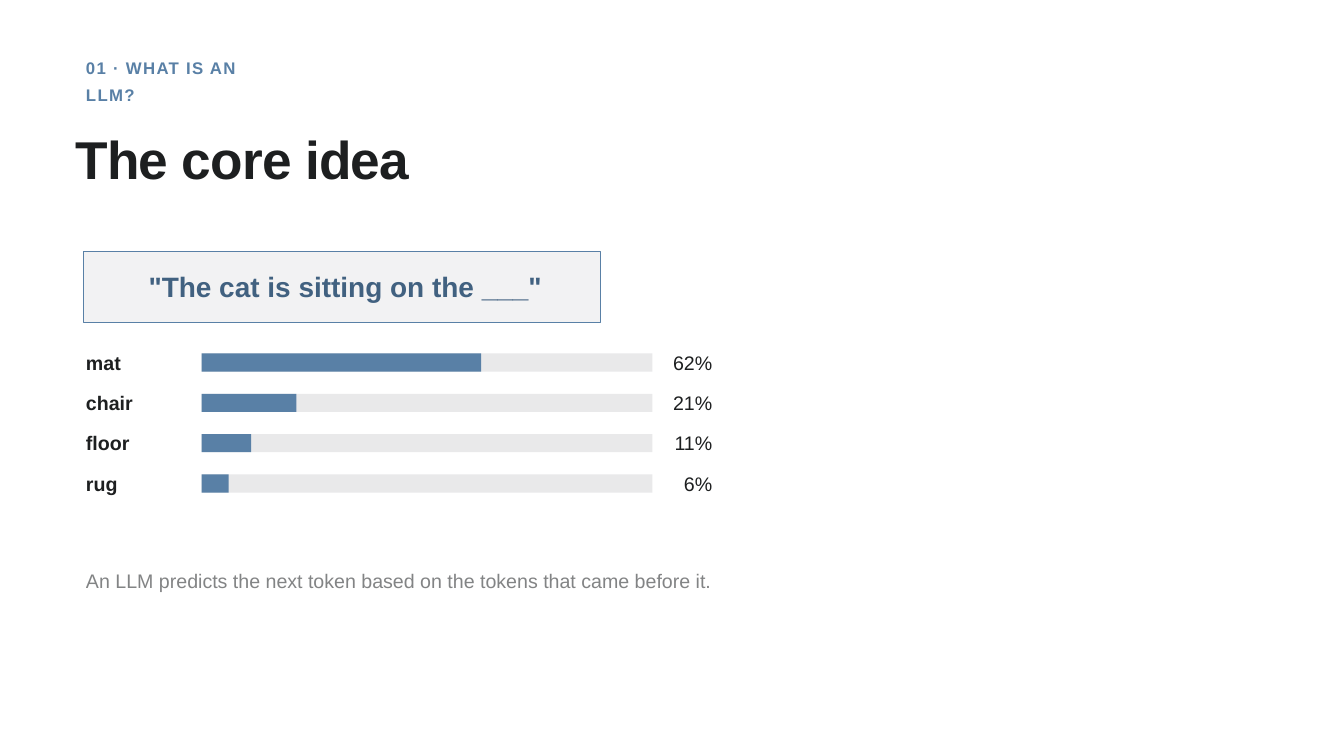
from dataclasses import dataclass

from lxml.etree import SubElement
from pptx import Presentation
from pptx.dml.color import RGBColor
from pptx.enum.shapes import MSO_SHAPE
from pptx.enum.text import MSO_ANCHOR, MSO_AUTO_SIZE, PP_ALIGN
from pptx.oxml.ns import qn
from pptx.util import Inches, Pt


@dataclass(frozen=True)
class Theme:
    font: str = "Arial"
    background: str = "FFFFFF"
    ink: str = "1D1F20"
    note: str = "1D1F21"
    accent: str = "5980A6"
    prompt: str = "416180"
    panel: str = "F2F2F3"
    track: str = "E9E9EA"
    kicker_size: float = 18
    title_size: float = 57
    prompt_size: float = 30
    body_size: float = 21


THEME = Theme()
PREDICTIONS = [("mat", 62), ("chair", 21), ("floor", 11), ("rug", 6)]
LEFT = 1.28
FIRST_ROW, ROW_STEP = 5.09, 0.6
TRACK_LEFT, TRACK_WIDTH, TRACK_HEIGHT = 3, 6.71, 0.27


def write(shape, text, size, color, leading, bold=False,
          align=PP_ALIGN.LEFT, spacing=0, opacity=100):
    """Fill a shape's frame with one styled run."""
    frame = shape.text_frame
    frame.word_wrap = True
    frame.auto_size = MSO_AUTO_SIZE.SHAPE_TO_FIT_TEXT
    frame.vertical_anchor = MSO_ANCHOR.TOP
    frame.margin_left = frame.margin_right = 0
    frame.margin_top = frame.margin_bottom = 0
    paragraph = frame.paragraphs[0]
    paragraph.alignment = align
    paragraph.line_spacing = Pt(leading)
    paragraph.space_before = Pt(0)
    run = paragraph.add_run()
    run.text = text
    font = run.font
    font.name, font.size, font.bold = THEME.font, Pt(size), bold
    font.color.rgb = RGBColor.from_string(color)
    properties = run._r.get_or_add_rPr()
    if spacing:
        properties.set("spc", str(round(spacing * 100)))
    if opacity < 100:
        rgb = properties.find(".//" + qn("a:srgbClr"))
        SubElement(rgb, qn("a:alpha"), val=str(opacity * 1000))


def add_text(slide, left, top, width, height, *content, **style):
    box = slide.shapes.add_textbox(
        Inches(left), Inches(top), Inches(width), Inches(height))
    write(box, *content, **style)


def add_title(slide, text):
    title = slide.shapes.title
    title.left, title.top = Inches(1.12), Inches(1.78)
    title.width, title.height = Inches(18.88), Inches(0.64)
    write(title, text, THEME.title_size, THEME.ink, 75.5, bold=True, spacing=-0.8)


def add_block(slide, left, top, width, height, fill, outline=None):
    block = slide.shapes.add_shape(
        MSO_SHAPE.RECTANGLE,
        Inches(left), Inches(top), Inches(width), Inches(height))
    block.shadow.inherit = False
    block.fill.solid()
    block.fill.fore_color.rgb = RGBColor.from_string(fill)
    if outline:
        block.line.color.rgb = RGBColor.from_string(outline)
        block.line.width = Pt(0.75)
    else:
        block.line.fill.background()


def add_prediction(slide, top, token, percent):
    """One row: token, track with its filled share, percentage."""
    add_text(slide, LEFT, top, 1.66, 0.54, token,
             THEME.body_size, THEME.ink, 34.2, bold=True)
    for share, fill in ((1, THEME.track), (percent / 100, THEME.accent)):
        add_block(slide, TRACK_LEFT, top + 0.17, TRACK_WIDTH * share,
                  TRACK_HEIGHT, fill)
    add_text(slide, 9.84, top, 0.76, 0.54, f"{percent}%",
             THEME.body_size, THEME.ink, 34.2, align=PP_ALIGN.RIGHT)


def main():
    deck = Presentation()
    deck.slide_width, deck.slide_height = Inches(20), Inches(11.25)
    slide = deck.slides.add_slide(deck.slide_layouts[5])
    slide.background.fill.solid()
    slide.background.fill.fore_color.rgb = RGBColor.from_string(THEME.background)

    # Heading
    add_text(slide, LEFT, 0.76, 2.4, 0.25, "01 · WHAT IS AN LLM?",
             THEME.kicker_size, THEME.accent, 28.7, bold=True, spacing=1.4)
    add_title(slide, "The core idea")

    # Prompt to complete
    add_block(slide, 1.24, 3.74, 7.7, 1.05, THEME.panel, THEME.accent)
    add_text(slide, 1.47, 3.82, 7.34, 0.65, '"The cat is sitting on the ___"',
             THEME.prompt_size, THEME.prompt, 49.6, bold=True,
             align=PP_ALIGN.CENTER)

    # Next-token probabilities
    for row, (token, percent) in enumerate(PREDICTIONS):
        add_prediction(slide, FIRST_ROW + row * ROW_STEP, token, percent)

    # Takeaway
    add_text(slide, LEFT, 8.38, 15.9, 0.46,
             "An LLM predicts the next token based on the tokens that came before it.",
             THEME.body_size, THEME.note, 30.9, opacity=55)

    deck.save("out.pptx")


if __name__ == "__main__":
    main()
